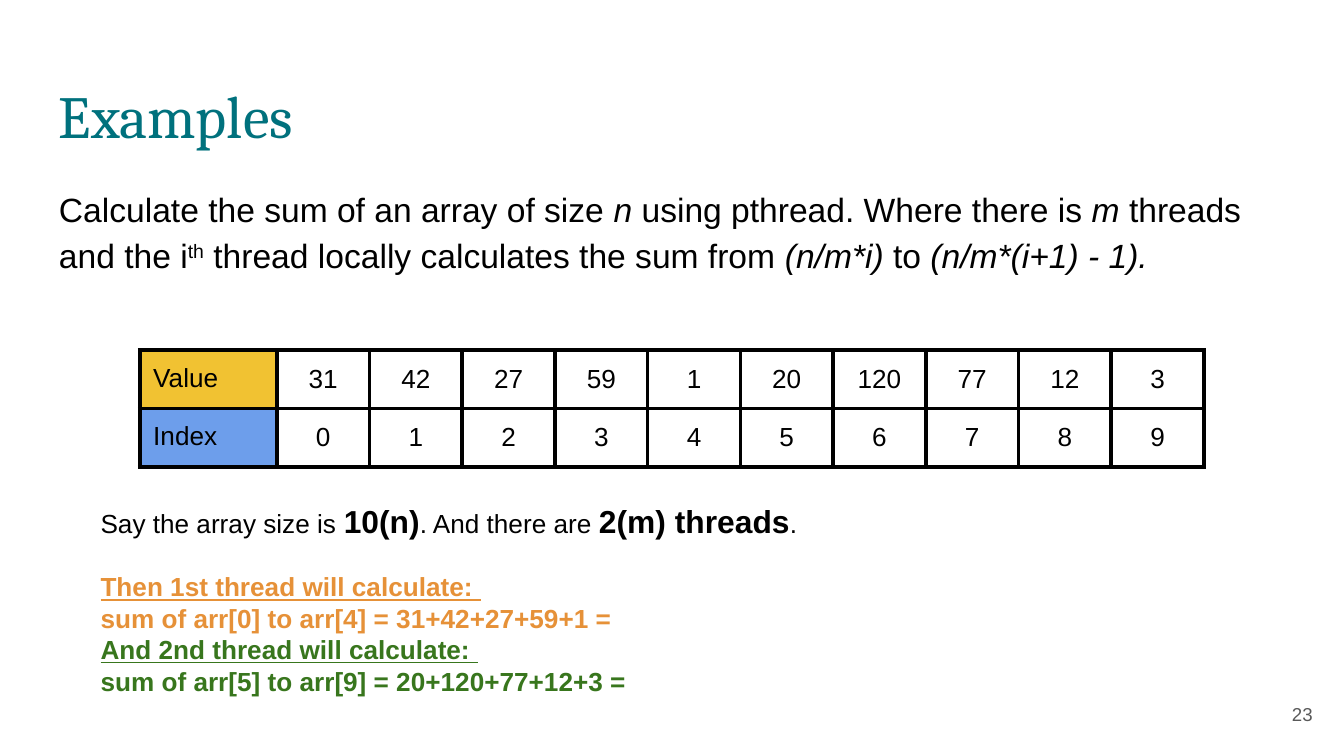
from dataclasses import dataclass

from lxml.etree import SubElement
from pptx import Presentation
from pptx.dml.color import RGBColor
from pptx.enum.text import MSO_ANCHOR, PP_ALIGN
from pptx.oxml.ns import qn
from pptx.util import Emu, Pt


@dataclass(frozen=True)
class Theme:
    heading_font: str = "Cambria"
    body_font: str = "Arial"
    teal: str = "00717D"
    black: str = "000000"
    orange: str = "E69138"
    green: str = "38761D"
    yellow: str = "F1C232"
    blue: str = "6D9EEB"
    gray: str = "595959"
    title_size: int = 32
    body_size: int = 18
    strong_size: int = 17
    text_size: int = 14
    number_size: int = 10
    border_width: float = 2.25


THEME = Theme()
PX_PER_INCH = 200
INSET = 20


def px(length):
    return Emu(length * 914400 // PX_PER_INCH)


def add_run(paragraph, text, size, color=THEME.black, font=THEME.body_font,
            bold=False, italic=False, underline=False, baseline=0):
    run = paragraph.add_run()
    run.text = text
    run.font.name = font
    run.font.size = Pt(size)
    run.font.color.rgb = RGBColor.from_string(color)
    run.font.bold = bold
    run.font.italic = italic
    run.font.underline = underline
    if baseline:
        run._r.get_or_add_rPr().set("baseline", str(baseline * 1000))


def set_margins(target):
    target.margin_left = target.margin_right = px(INSET)
    target.margin_top = target.margin_bottom = px(INSET)


def add_text_box(slide, box, anchor=MSO_ANCHOR.TOP):
    text_frame = slide.shapes.add_textbox(*map(px, box)).text_frame
    text_frame.word_wrap = True
    text_frame.vertical_anchor = anchor
    set_margins(text_frame)
    return text_frame


def add_title(slide, box):
    paragraph = add_text_box(slide, box).paragraphs[0]
    add_run(paragraph, "Examples", THEME.title_size, THEME.teal, THEME.heading_font)


def add_problem(slide, box):
    paragraph = add_text_box(slide, box).paragraphs[0]
    paragraph.line_spacing = 1.15
    paragraph.space_after = Pt(12)
    for text, style in (
        ("Calculate the sum of an array of size ", {}),
        ("n", {"italic": True}),
        (" using pthread. Where there is ", {}),
        ("m ", {"italic": True}),
        ("threads and the i", {}),
        ("th", {"baseline": 30}),
        (" thread locally calculates the sum from ", {}),
        ("(n/m*i) ", {"italic": True}),
        ("to ", {}),
        ("(n/m*(i+1) - 1).", {"italic": True}),
    ):
        add_run(paragraph, text, THEME.body_size, **style)


def add_solution(slide, box):
    text_frame = add_text_box(slide, box)
    paragraph = text_frame.paragraphs[0]
    for text, strong in (
        ("Say the array size is ", False),
        ("10(n)", True),
        (". And there are ", False),
        ("2(m) threads", True),
        (".", False),
    ):
        size = THEME.strong_size if strong else THEME.text_size
        add_run(paragraph, text, size, bold=strong)

    for heading, formula, color, gap in (
        ("Then 1st thread will calculate: ",
         "sum of arr[0] to arr[4] = 31+42+27+59+1 =", THEME.orange, 16.5),
        ("And 2nd thread will calculate: ",
         "sum of arr[5] to arr[9] = 20+120+77+12+3 =", THEME.green, 0),
    ):
        paragraph = text_frame.add_paragraph()
        paragraph.space_before = Pt(gap)
        add_run(paragraph, heading, THEME.text_size, color, bold=True, underline=True)
        paragraph = text_frame.add_paragraph()
        add_run(paragraph, formula, THEME.text_size, color, bold=True)


def set_borders(cell):
    properties = cell._tc.get_or_add_tcPr()
    for side in ("lnL", "lnR", "lnT", "lnB"):
        line = SubElement(properties, qn(f"a:{side}"), w=str(Pt(THEME.border_width)))
        fill = SubElement(line, qn("a:solidFill"))
        SubElement(fill, qn("a:srgbClr"), val=THEME.black)


def add_array_table(slide, box):
    values = (31, 42, 27, 59, 1, 20, 120, 77, 12, 3)
    rows = (
        ("Value", values, THEME.yellow),
        ("Index", range(len(values)), THEME.blue),
    )
    label_width = 204
    width, height = box[2:]
    table = slide.shapes.add_table(len(rows), len(values) + 1, *map(px, box)).table
    table.first_row = table.horz_banding = False
    for number, column in enumerate(table.columns):
        column.width = px((width - label_width) // len(values) if number else label_width)

    for row_number, (label, numbers, color) in enumerate(rows):
        table.rows[row_number].height = px(height // len(rows))
        for column_number, content in enumerate((label, *numbers)):
            cell = table.cell(row_number, column_number)
            set_margins(cell)
            set_borders(cell)
            paragraph = cell.text_frame.paragraphs[0]
            if column_number:
                cell.fill.background()
                cell.vertical_anchor = MSO_ANCHOR.MIDDLE
                paragraph.alignment = PP_ALIGN.CENTER
            else:
                cell.fill.solid()
                cell.fill.fore_color.rgb = RGBColor.from_string(color)
            add_run(paragraph, str(content), THEME.text_size)


def add_slide_number(slide, box):
    paragraph = add_text_box(slide, box, MSO_ANCHOR.MIDDLE).paragraphs[0]
    paragraph.alignment = PP_ALIGN.RIGHT
    add_run(paragraph, "23", THEME.number_size, THEME.gray)


def main():
    presentation = Presentation()
    presentation.slide_width = px(2000)
    presentation.slide_height = px(1125)
    slide = presentation.slides.add_slide(presentation.slide_layouts[6])
    add_title(slide, (68, 98, 1864, 126))
    add_problem(slide, (68, 252, 1864, 808))
    add_solution(slide, (130, 727, 1674, 334))
    add_array_table(slide, (208, 521, 1584, 172))
    add_slide_number(slide, (1853, 1020, 120, 86))
    presentation.save("out.pptx")


if __name__ == "__main__":
    main()
